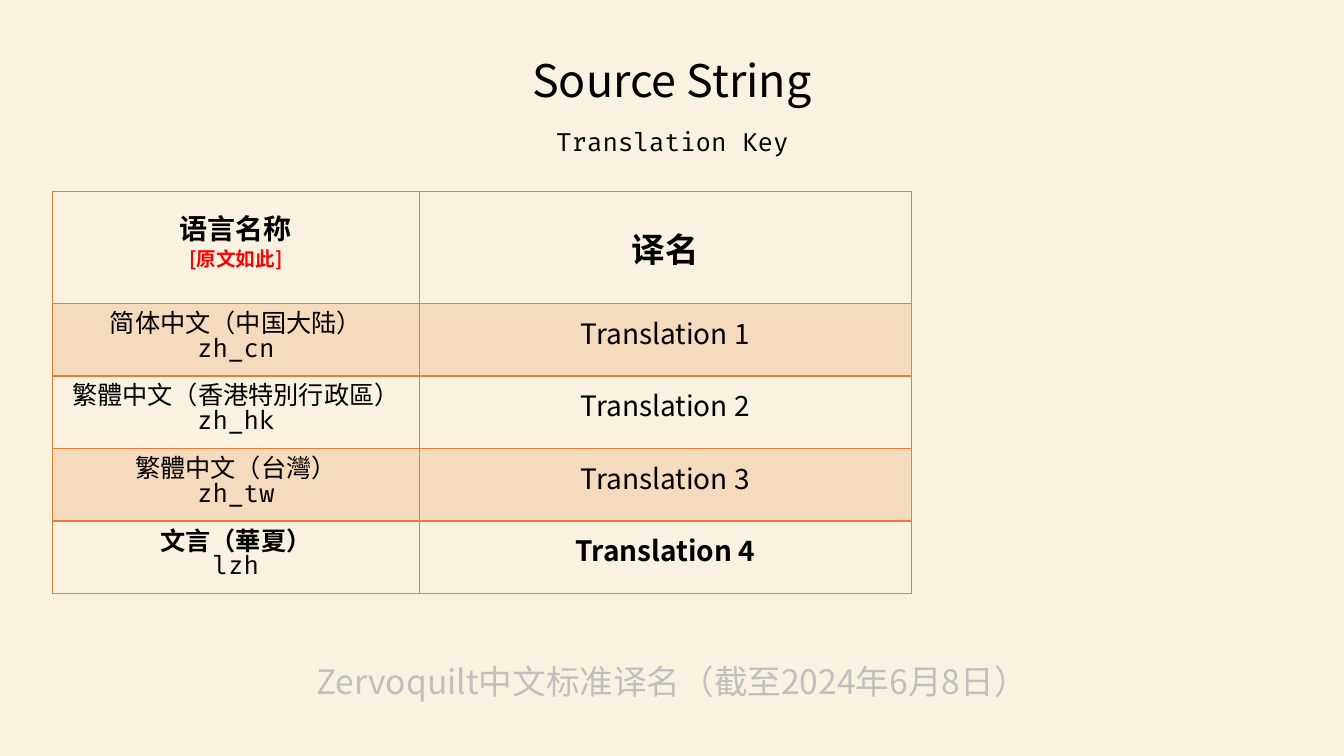
"""Build a slide that lists the Chinese translations of one source string."""
import pptx
import pptx.dml.color
import pptx.enum.text
import pptx.oxml
import pptx.oxml.ns
import pptx.util
from pptx.util import Inches, Pt

SANS, SANS_JP, MONO = "Noto Sans CJK SC", "Noto Sans CJK JP", "Fira Code"
BLACK, RED, GREY, ORANGE, CREAM = "000000", "FF0000", "BFBFBF", "ED7D31", "F9F2E0"

TEXT_BOXES = [
    ("Zervoquilt中文标准译名（截至2024年6月8日）", (2.94, 6.51, 7.45, 0.5), 24, SANS, GREY, True),
    ("Source String", (5.05, 0.47, 3.23, 0.64), 32, SANS, BLACK, False),
    ("Translation Key", (5.4, 1.2, 2.54, 0.4), 18, MONO, BLACK, False),
]
LANGUAGES = [
    ("简体中文（中国大陆）", "zh_cn", "Translation 1", SANS, False),
    ("繁體中文（香港特別行政區）", "zh_hk", "Translation 2", SANS, False),
    ("繁體中文（台灣）", "zh_tw", "Translation 3", SANS, False),
    ("文言（華夏）", "lzh", "Translation 4", SANS_JP, True),
]
TABLE_LEFT, TABLE_TOP = 0.52, 1.9
COLUMN_WIDTHS = (3.64, 4.88)
HEADER_HEIGHT, ROW_HEIGHT = 1.11, 0.72


def color(hex_text):
    return pptx.dml.color.RGBColor.from_string(hex_text)


def add_run(paragraph, text, size, font_name, hex_text=BLACK, bold=False):
    paragraph.alignment = pptx.enum.text.PP_ALIGN.CENTER
    run = paragraph.add_run()
    run.text = text
    run.font.size = Pt(size)
    run.font.name = font_name
    run.font.bold = bold
    run.font.color.rgb = color(hex_text)
    east_asian = pptx.oxml.parse_xml(
        f'<a:ea {pptx.oxml.ns.nsdecls("a")} typeface="{font_name}"/>')
    run.font._element.find(pptx.oxml.ns.qn("a:latin")).addnext(east_asian)


def add_text_box(slide, text, box, size, font_name, hex_text, wrap):
    frame = slide.shapes.add_textbox(*map(Inches, box)).text_frame
    frame.word_wrap = wrap
    frame.auto_size = pptx.enum.text.MSO_AUTO_SIZE.SHAPE_TO_FIT_TEXT
    add_run(frame.paragraphs[0], text, size, font_name, hex_text)


def style_cell(cell, shaded):
    cell.vertical_anchor = pptx.enum.text.MSO_ANCHOR.MIDDLE
    if shaded:
        cell.fill.solid()
        cell.fill.fore_color.rgb = color(ORANGE)
    else:
        cell.fill.background()
    properties = cell._tc.get_or_add_tcPr()
    namespace = pptx.oxml.ns.nsdecls("a")
    for fill_color in properties.iter(pptx.oxml.ns.qn("a:srgbClr")):
        fill_color.append(pptx.oxml.parse_xml(f'<a:alpha {namespace} val="20000"/>'))
    for position, side in enumerate(("lnL", "lnR", "lnT", "lnB")):
        properties.insert(position, pptx.oxml.parse_xml(
            f'<a:{side} {namespace} w="{Pt(1)}"><a:solidFill>'
            f'<a:srgbClr val="{ORANGE}"/></a:solidFill></a:{side}>'))


def fill_cell(cell, lines, shaded=False, tight=True, exact=True):
    style_cell(cell, shaded)
    if tight:
        cell.margin_left = cell.margin_right = Inches(0.01)
        cell.margin_top = cell.margin_bottom = 0
    frame = cell.text_frame
    for index, line in enumerate(lines):
        paragraph = frame.add_paragraph() if index else frame.paragraphs[0]
        if exact:
            paragraph.line_spacing = Pt(18)
        add_run(paragraph, *line)


def add_translation_table(slide):
    height = HEADER_HEIGHT + ROW_HEIGHT * len(LANGUAGES)
    table = slide.shapes.add_table(
        len(LANGUAGES) + 1, len(COLUMN_WIDTHS), Inches(TABLE_LEFT), Inches(TABLE_TOP),
        Inches(sum(COLUMN_WIDTHS)), Inches(height)).table
    table.horz_banding = False
    table.first_row = False
    for column, width in zip(table.columns, COLUMN_WIDTHS):
        column.width = Inches(width)
    for index, row in enumerate(table.rows):
        row.height = Inches(ROW_HEIGHT if index else HEADER_HEIGHT)

    fill_cell(table.cell(0, 0), [("语言名称", 20, SANS, BLACK, True),
                                 ("[原文如此]", 14, SANS, RED, True)], tight=False)
    fill_cell(table.cell(0, 1), [("译名", 24, SANS, BLACK, True)], tight=False, exact=False)
    for index, (language, code, translation, font_name, bold) in enumerate(LANGUAGES, 1):
        shaded = index % 2 == 1
        fill_cell(table.cell(index, 0), [(language, 18, SANS, BLACK, bold),
                                         (code, 18, MONO)], shaded)
        fill_cell(table.cell(index, 1), [(translation, 20, font_name, BLACK, bold)], shaded)


def main():
    presentation = pptx.Presentation()
    presentation.slide_width, presentation.slide_height = Inches(13.33), Inches(7.5)
    slide = presentation.slides.add_slide(presentation.slide_layouts[6])
    slide.background.fill.solid()
    slide.background.fill.fore_color.rgb = color(CREAM)
    footer, *headings = TEXT_BOXES
    add_text_box(slide, *footer)
    add_translation_table(slide)
    for heading in headings:
        add_text_box(slide, *heading)
    presentation.save("out.pptx")


if __name__ == "__main__":
    main()
